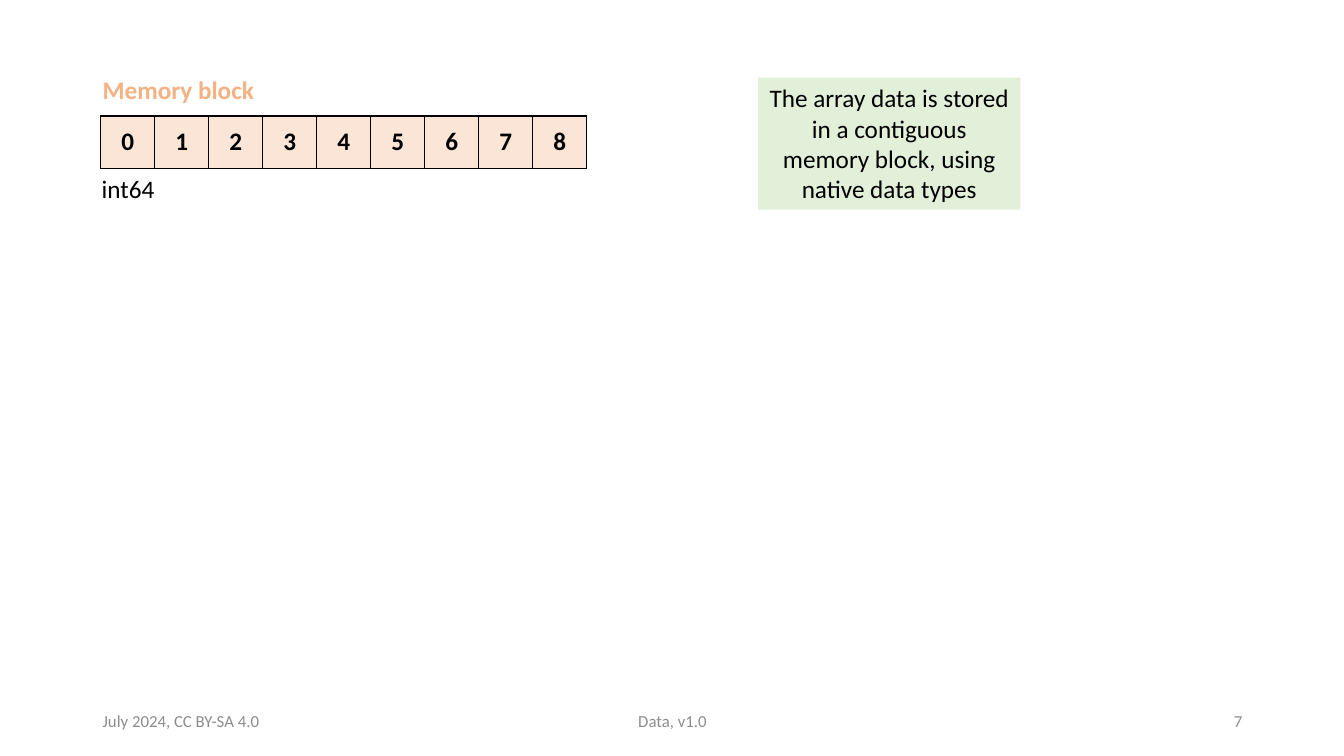
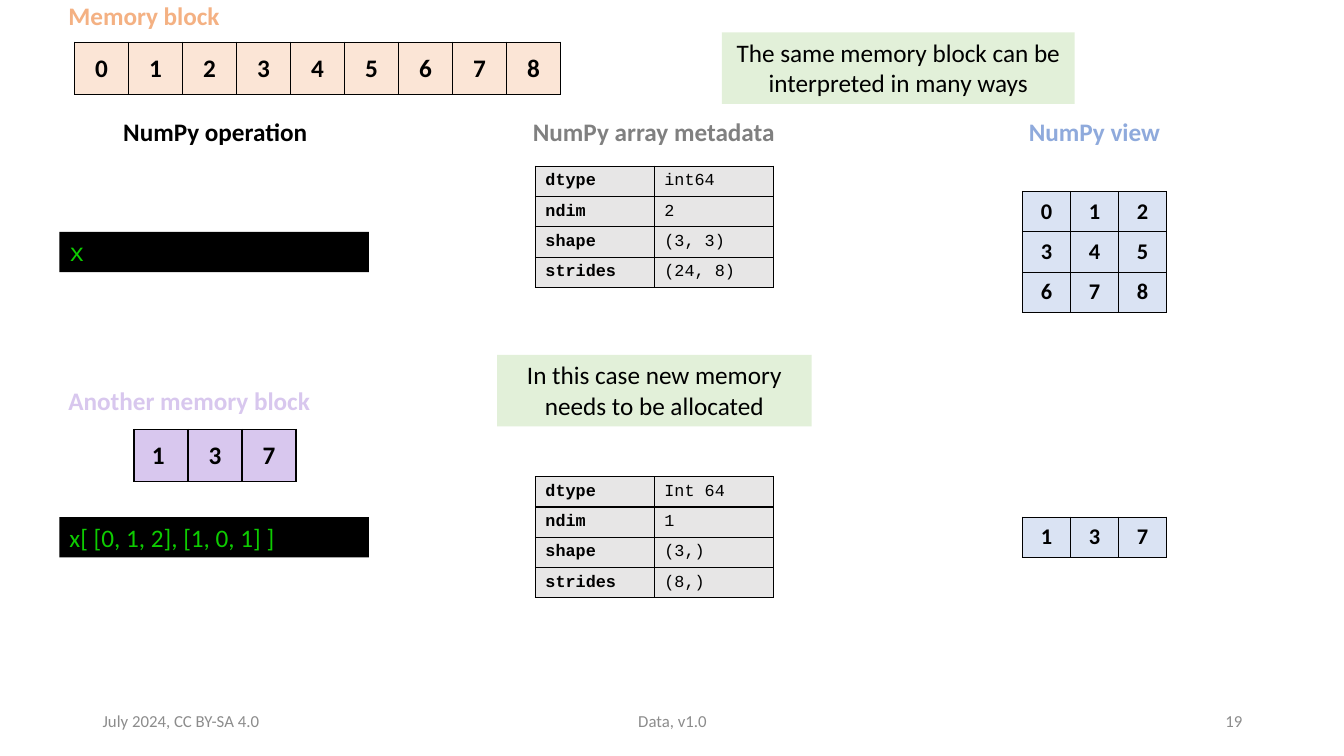
from lxml.etree import SubElement
from pptx import Presentation
from pptx.dml.color import RGBColor
from pptx.enum.shapes import MSO_SHAPE
from pptx.enum.text import MSO_ANCHOR, MSO_AUTO_SIZE, PP_ALIGN
from pptx.oxml.ns import qn
from pptx.util import Inches, Pt

BLACK = RGBColor(0x00, 0x00, 0x00)
FOOTER_GRAY = RGBColor(0x8C, 0x8C, 0x8C)
META_GRAY = RGBColor(0x80, 0x80, 0x80)
META_FILL = RGBColor(0xE7, 0xE6, 0xE6)
ORANGE = RGBColor(0xF4, 0xB1, 0x83)
ORANGE_FILL = RGBColor(0xFB, 0xE5, 0xD6)
BLUE = RGBColor(0x8F, 0xAA, 0xDC)
BLUE_FILL = RGBColor(0xDA, 0xE3, 0xF3)
PURPLE = RGBColor(0xD8, 0xC7, 0xEE)
NOTE_FILL = RGBColor(0xE2, 0xF0, 0xD9)
CODE_GREEN = RGBColor(0x0E, 0xCC, 0x00)

SANS = "Calibri"
MONO = "Courier New"
LEFT, CENTER, RIGHT = PP_ALIGN.LEFT, PP_ALIGN.CENTER, PP_ALIGN.RIGHT
DIGITS = [str(n) for n in range(9)]


class Deck:
    def __init__(self):
        self.prs = Presentation()
        self.prs.slide_width = Inches(13.33)
        self.prs.slide_height = Inches(7.5)
        self.s = None

    def slide(self, number):
        self.s = self.prs.slides.add_slide(self.prs.slide_layouts[6])
        footers = [
            (0.92, 3, "July 2024, CC BY-SA 4.0", LEFT),
            (4.42, 4.5, "Data, v1.0", CENTER),
            (9.42, 3, str(number), RIGHT),
        ]
        for x, w, text, align in footers:
            sp = self.s.shapes.add_textbox(Inches(x), Inches(6.95), Inches(w), Inches(0.4))
            sp.text_frame.word_wrap = True
            sp.text_frame.vertical_anchor = MSO_ANCHOR.MIDDLE
            self.add_text(sp.text_frame, text, 12, FOOTER_GRAY, align=align)

    def add_text(self, tf, text, size=18, color=BLACK, bold=False, align=LEFT, font=SANS):
        p = tf.paragraphs[0]
        p.alignment = align
        r = p.add_run()
        r.text = text
        r.font.size = Pt(size)
        r.font.name = font
        r.font.bold = bold
        r.font.color.rgb = color

    def fit(self, tf):
        tf.word_wrap = True
        tf.auto_size = MSO_AUTO_SIZE.SHAPE_TO_FIT_TEXT
        tf.vertical_anchor = MSO_ANCHOR.TOP

    def label(self, x, y, w, text, color=BLACK, bold=True, align=LEFT):
        sp = self.s.shapes.add_textbox(Inches(x), Inches(y), Inches(w), Inches(0.4))
        self.fit(sp.text_frame)
        self.add_text(sp.text_frame, text, color=color, bold=bold, align=align)

    def box(self, x, y, w, h, text, fill, **style):
        sp = self.s.shapes.add_shape(
            MSO_SHAPE.RECTANGLE, Inches(x), Inches(y), Inches(w), Inches(h))
        sp.shadow.inherit = False
        sp.fill.solid()
        sp.fill.fore_color.rgb = fill
        sp.line.fill.background()
        self.fit(sp.text_frame)
        self.add_text(sp.text_frame, text, **style)

    def note(self, x, y, w, h, text):
        self.box(x, y, w, h, text, NOTE_FILL, align=CENTER)

    def code(self, y, text, font=SANS):
        self.box(0.59, y, 3.07, 0.4, text, BLACK, color=CODE_GREEN, font=font)

    def border(self, cell):
        tc_pr = cell._tc.get_or_add_tcPr()
        for side in ("a:lnL", "a:lnR", "a:lnT", "a:lnB"):
            ln = SubElement(tc_pr, qn(side), w=str(int(Pt(1))))
            fill = SubElement(ln, qn("a:solidFill"))
            SubElement(fill, qn("a:srgbClr"), val=str(BLACK))

    def table(self, x, y, col_w, row_h, rows, fill, size=18, align=CENTER,
              font=SANS, bold_cols=None, margins=(0.1, 0.05)):
        n_rows, n_cols = len(rows), len(rows[0])
        table = self.s.shapes.add_table(
            n_rows, n_cols, Inches(x), Inches(y),
            Inches(col_w * n_cols), Inches(row_h * n_rows)).table
        table.first_row = False
        table.horz_banding = False
        for col in table.columns:
            col.width = Inches(col_w)
        for i, values in enumerate(rows):
            table.rows[i].height = Inches(row_h)
            for j, text in enumerate(values):
                cell = table.cell(i, j)
                self.border(cell)
                cell.fill.solid()
                cell.fill.fore_color.rgb = fill
                cell.vertical_anchor = MSO_ANCHOR.MIDDLE
                cell.margin_left = cell.margin_right = Inches(margins[0])
                cell.margin_top = cell.margin_bottom = Inches(margins[1])
                bold = bold_cols is None or j in bold_cols
                self.add_text(cell.text_frame, text, size, bold=bold, align=align, font=font)

    def memory(self, x, y, values, fill):
        self.table(x, y, 4.82 / 9, 0.52, [values], fill)

    def view(self, y, rows):
        self.table(10.14, y, 1.43 / 3, 0.4, rows, BLUE_FILL, size=16, margins=(0.08, 0.04))

    def metadata(self, y, values):
        rows = list(zip(("dtype", "ndim", "shape", "strides"), values))
        self.table(5.31, y, 1.18, 0.3, rows, META_FILL, size=12, align=LEFT,
                   font=MONO, bold_cols={0})


def memory_slide(deck):
    deck.slide(7)
    deck.note(7.52, 0.77, 2.6, 1.31,
              "The array data is stored in a contiguous memory block, using native data types")
    deck.memory(1, 1.15, DIGITS, ORANGE_FILL)
    deck.label(0.6, 1.67, 1.34, "int64", bold=False, align=CENTER)
    deck.label(0.92, 0.69, 2.13, "Memory block", ORANGE)


def views_slide(deck):
    deck.slide(19)
    deck.label(0.58, -0.05, 2.13, "Memory block", ORANGE)
    deck.memory(0.74, 0.42, DIGITS, ORANGE_FILL)
    deck.note(7.16, 0.32, 3.5, 0.71, "The same memory block can be interpreted in many ways")

    headings = [
        (1.07, 2.13, "NumPy operation", BLACK),
        (5.07, 2.83, "NumPy array metadata", META_GRAY),
        (9.79, 2.13, "NumPy view", BLUE),
    ]
    for x, w, text, color in headings:
        deck.label(x, 1.11, w, text, color, align=CENTER)

    deck.code(2.3, "x", MONO)
    deck.metadata(1.65, ("int64", "2", "(3, 3)", "(24, 8)"))
    deck.view(1.9, [DIGITS[i:i + 3] for i in range(0, 9, 3)])

    deck.note(4.93, 3.52, 3.12, 0.71, "In this case new memory needs to be allocated")
    deck.label(0.58, 3.77, 3.07, "Another memory block", PURPLE)
    deck.memory(1.33, 4.26, ["1 ", "3", "7"], PURPLE)
    deck.code(5.13, "x[ [0, 1, 2], [1, 0, 1] ]")
    deck.metadata(4.73, ("Int 64", "1", "(3,)", "(8,)"))
    deck.view(5.13, [["1", "3", "7"]])


def main():
    deck = Deck()
    memory_slide(deck)
    views_slide(deck)
    deck.prs.save("out.pptx")


if __name__ == "__main__":
    main()
